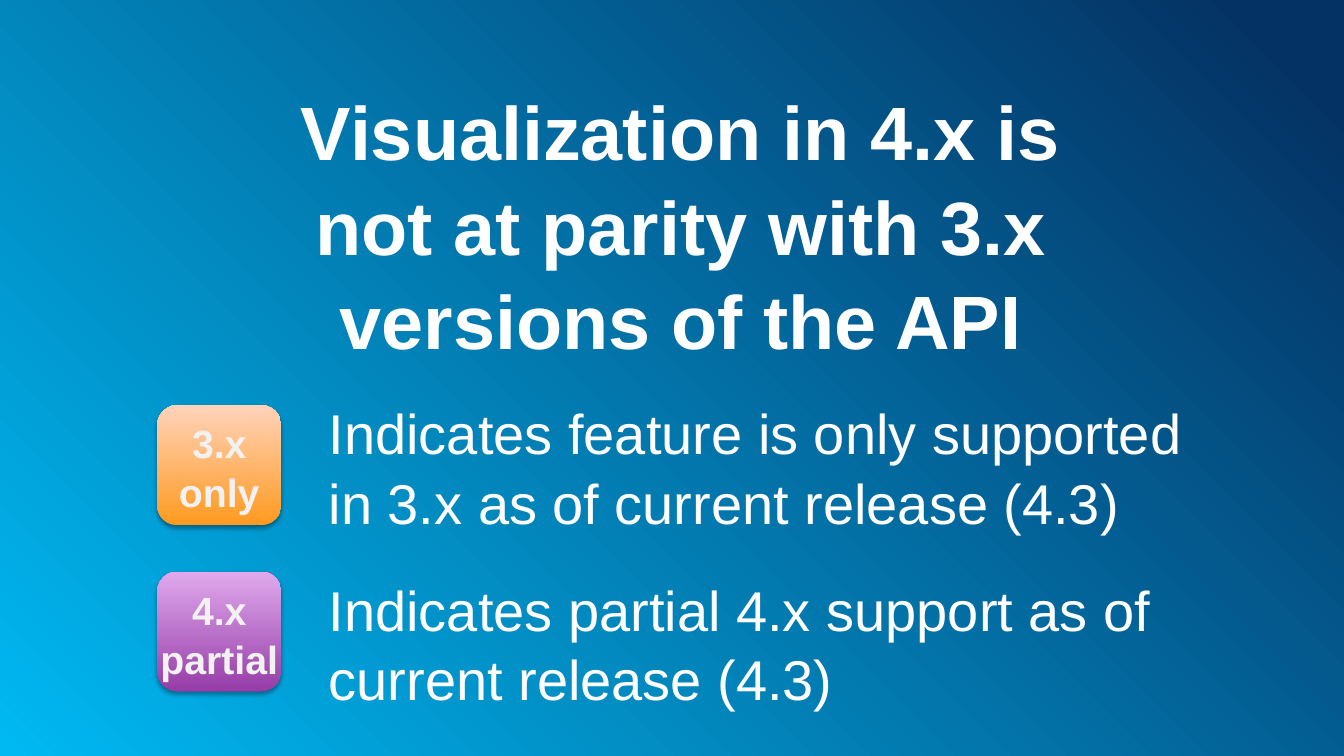
"""Build a slide that explains the 3.x and 4.x support badges."""
from lxml.etree import SubElement
from pptx import Presentation
from pptx.dml.color import RGBColor
from pptx.enum.shapes import MSO_SHAPE
from pptx.enum.text import MSO_ANCHOR, MSO_AUTO_SIZE, PP_ALIGN
from pptx.oxml.ns import qn
from pptx.util import Inches, Pt

COLORS = {
    "sky": "00B9F2", "navy": "053264", "white": "FFFFFF", "pale": "F2F2F2",
    "brown": "8B4E05", "black": "000000", "orange": "FF9A20",
    "peach": "FFD3BA", "purple": "963DA7", "lilac": "DFA9ED",
}
LEGEND = [
    (["3.x", "only"], "orange", "peach",
     "Indicates feature is only supported in 3.x as of current release (4.3)"),
    (["4.x", "partial"], "purple", "lilac",
     "Indicates partial 4.x support as of current release (4.3)"),
]


def color(name):
    return RGBColor.from_string(COLORS[name])


def write_text(frame, lines, size, text_color="white", bold=False,
               align=PP_ALIGN.LEFT, spacing=1.04, outline=None):
    for index, line in enumerate(lines):
        paragraph = frame.paragraphs[0] if index == 0 else frame.add_paragraph()
        paragraph.alignment = align
        paragraph.line_spacing = spacing
        paragraph.space_before = paragraph.space_after = Pt(0)
        run = paragraph.add_run()
        run.text = line
        run.font.name = "Arial"
        run.font.size = Pt(size)
        run.font.bold = bold
        run.font.color.rgb = color(text_color)
        if outline:
            properties = run.font._element
            border = SubElement(properties, qn("a:ln"), w=str(Pt(0.75)))
            fill = SubElement(border, qn("a:solidFill"))
            SubElement(fill, qn("a:srgbClr"), val=COLORS[outline])
            properties.insert(0, border)


class SlideBuilder:
    def __init__(self, presentation):
        self.width = presentation.slide_width
        self.height = presentation.slide_height
        self.slide = presentation.slides.add_slide(presentation.slide_layouts[5])

    def box(self, left, top, width, height):
        """Turn percentages of the slide's size into lengths."""
        return [round(share * side / 100) for share, side in
                zip((left, top, width, height), (self.width, self.height) * 2)]

    def gradient(self, fill, start, end, end_position=1):
        fill.gradient()
        first, last = fill.gradient_stops
        first.position, last.position = 0, end_position
        first.color.rgb, last.color.rgb = color(start), color(end)

    def background(self, start, end):
        self.gradient(self.slide.background.fill, start, end, 0.95)
        fill = self.slide._element.find(".//" + qn("a:gradFill"))
        fill.remove(fill.find(qn("a:lin")))
        circle = SubElement(fill, qn("a:path"), {"path": "circle"})
        SubElement(circle, qn("a:fillToRect"), t="100000", r="100000")

    def fit_frame(self, frame):
        frame.word_wrap = True
        frame.auto_size = MSO_AUTO_SIZE.SHAPE_TO_FIT_TEXT
        frame.vertical_anchor = MSO_ANCHOR.TOP
        frame.margin_left = frame.margin_right = frame.margin_bottom = 0
        frame.margin_top = Inches(0.03)

    def title(self, text, *place):
        shape = self.slide.shapes.title
        shape.left, shape.top, shape.width, shape.height = self.box(*place)
        self.fit_frame(shape.text_frame)
        write_text(shape.text_frame, [text], 54, bold=True, align=PP_ALIGN.CENTER)

    def text(self, text, *place):
        shape = self.slide.shapes.add_textbox(*self.box(*place))
        self.fit_frame(shape.text_frame)
        write_text(shape.text_frame, [text], 40)

    def badge(self, lines, bottom_color, top_color, *place):
        shape = self.slide.shapes.add_shape(
            MSO_SHAPE.ROUNDED_RECTANGLE, *self.box(*place))
        self.gradient(shape.fill, bottom_color, top_color)
        shape.fill.gradient_angle = 90
        shape.line.fill.background()
        self.shadow(shape)
        frame = shape.text_frame
        frame.word_wrap = False
        frame.vertical_anchor = MSO_ANCHOR.MIDDLE
        frame.margin_top = Inches(0.08)
        write_text(frame, lines, 28, text_color="pale", bold=True,
                   align=PP_ALIGN.CENTER, outline="brown")

    def shadow(self, shape):
        shape.shadow.inherit = False
        effects = shape._element.spPr.find(qn("a:effectLst"))
        shadow = SubElement(effects, qn("a:outerShdw"), blurRad=str(Pt(3.1)),
                            dist=str(Pt(1.8)), dir="5400000", rotWithShape="0")
        shade = SubElement(shadow, qn("a:srgbClr"), val=COLORS["black"])
        SubElement(shade, qn("a:alpha"), val="35000")


def main():
    presentation = Presentation()
    presentation.slide_width = Inches(13.33)
    presentation.slide_height = Inches(7.5)
    builder = SlideBuilder(presentation)
    builder.background("sky", "navy")
    builder.title("Visualization in 4.x is not at parity with 3.x versions of the API",
                  17.63, 10.4, 66.02, 36.4)
    for row, (label, bottom_color, top_color, meaning) in enumerate(LEGEND):
        builder.badge(label, bottom_color, top_color,
                      11.7, 53.6 + 22 * row, 9.23, 15.87)
        builder.text(meaning, 24.46, 52 + 23.33 * row, 66.02, 18)
    presentation.save("out.pptx")


if __name__ == "__main__":
    main()
